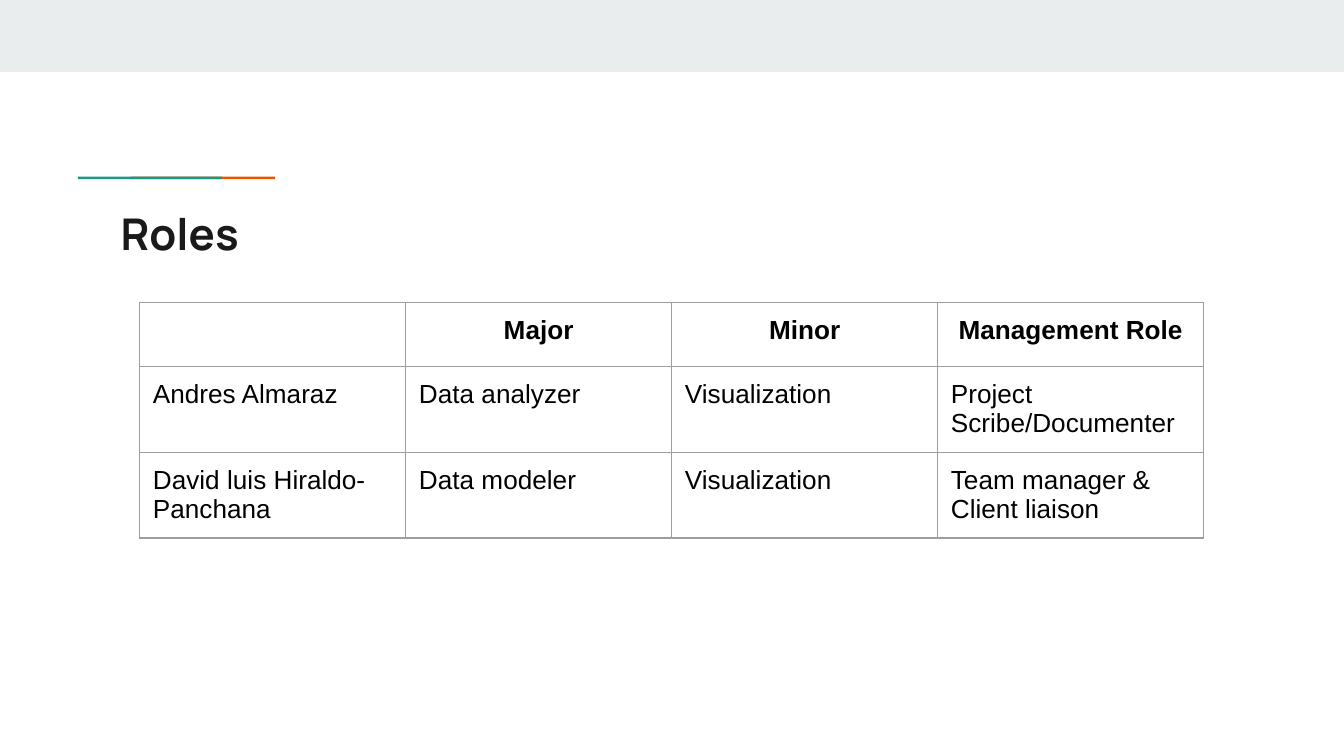
from lxml import etree
from pptx import Presentation
from pptx.dml.color import RGBColor
from pptx.enum.shapes import MSO_SHAPE
from pptx.enum.text import MSO_ANCHOR, MSO_AUTO_SIZE, PP_ALIGN
from pptx.oxml.ns import qn
from pptx.util import Cm, Pt

RECTANGLE = MSO_SHAPE.RECTANGLE
TOP = MSO_ANCHOR.TOP
NO_AUTOFIT = MSO_AUTO_SIZE.NONE
LEFT, CENTER = PP_ALIGN.LEFT, PP_ALIGN.CENTER

TITLE_ONLY = 5
PAGE_WIDTH, PAGE_HEIGHT = 25.4, 14.29
INSET = Cm(0.25)

ROLES = [
    ["", "Major", "Minor", "Management Role"],
    ["Andres Almaraz", "Data analyzer", "Visualization", "Project Scribe/Documenter"],
    ["David luis Hiraldo-Panchana", "Data modeler", "Visualization",
     "Team manager & Client liaison"],
]
ROW_HEIGHTS = [1.21, 1.62, 1.62]


def color(hex_string):
    return RGBColor.from_string(hex_string)


def set_insets(target):
    target.margin_left = target.margin_right = INSET
    target.margin_top = target.margin_bottom = INSET


def style_para(para, name, size, hex_string, bold, align):
    para.alignment = align
    para.font.name = name
    para.font.size = Pt(size)
    para.font.bold = bold
    para.font.color.rgb = color(hex_string)


def add_bar(slide, box, hex_string):
    bar = slide.shapes.add_shape(RECTANGLE, *map(Cm, box))
    bar.shadow.inherit = False
    bar.fill.solid()
    bar.fill.fore_color.rgb = color(hex_string)
    bar.line.fill.background()


def add_accent(slide, box):
    """Two equal bars, the green one overlapping the orange one."""
    left, top, width, height = box
    bar_width = width * 0.73
    add_bar(slide, (left + width - bar_width, top, bar_width, height), "EB5600")
    add_bar(slide, (left, top, bar_width, height), "1A9988")


def place_title(slide, box, text):
    title = slide.shapes.title
    title.left, title.top, title.width, title.height = map(Cm, box)
    frame = title.text_frame
    frame.text = text
    frame.word_wrap = True
    frame.auto_size = NO_AUTOFIT
    frame.vertical_anchor = TOP
    set_insets(frame)
    style_para(frame.paragraphs[0], "Manrope", 23.4, "1A1A1A", True, LEFT)


def set_borders(cell, hex_string, width):
    properties = cell._tc.get_or_add_tcPr()
    for index, side in enumerate(("a:lnL", "a:lnR", "a:lnT", "a:lnB")):
        line = etree.Element(qn(side), w=str(Pt(width)))
        fill = etree.SubElement(line, qn("a:solidFill"))
        etree.SubElement(fill, qn("a:srgbClr"), val=hex_string)
        properties.insert(index, line)


def add_roles_table(slide, box):
    frame = slide.shapes.add_table(len(ROLES), len(ROLES[0]), *map(Cm, box))
    table = frame.table
    table.horz_banding = False
    for row, height in zip(table.rows, ROW_HEIGHTS):
        row.height = Cm(height)
    for row_index, texts in enumerate(ROLES):
        is_header = row_index == 0
        for column_index, text in enumerate(texts):
            cell = table.cell(row_index, column_index)
            cell.text = text
            cell.fill.background()
            cell.vertical_anchor = TOP
            set_insets(cell)
            set_borders(cell, "9E9E9E", 0.75)
            style_para(cell.text_frame.paragraphs[0], "Arial", 14, "000000",
                       is_header, CENTER if is_header else LEFT)


def build_roles_slide(deck):
    slide = deck.slides.add_slide(deck.slide_layouts[TITLE_ONLY])
    # Top band and accent rule
    add_bar(slide, (0, 0, PAGE_WIDTH, 1.36), "E9EDEE")
    add_accent(slide, (1.47, 3.34, 3.73, 0.05))
    # Title and table
    place_title(slide, (2.03, 3.66, 21.36, 1.5), "Roles")
    add_roles_table(slide, (2.64, 5.72, 20.11, sum(ROW_HEIGHTS)))


def main():
    deck = Presentation()
    deck.slide_width = Cm(PAGE_WIDTH)
    deck.slide_height = Cm(PAGE_HEIGHT)
    build_roles_slide(deck)
    deck.save("out.pptx")


if __name__ == "__main__":
    main()
